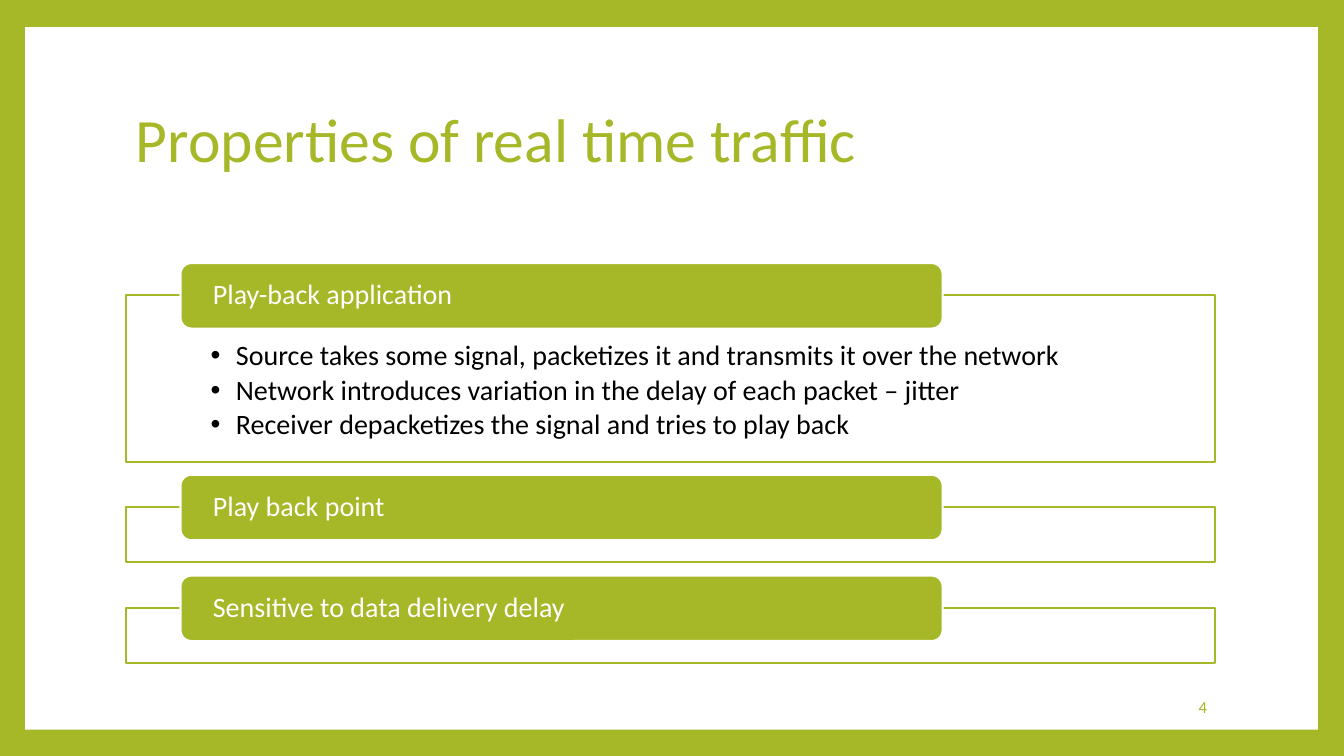
from lxml import etree
from pptx import Presentation, util as u
from pptx.dml.color import RGBColor
from pptx.enum import shapes, text
from pptx.oxml.ns import qn

COLORS = {"green": "A6B727", "white": "FFFFFF", "black": "000000"}
FONT = "Calibri"
WIDTH, HEIGHT = 13.33, 7.5
LEFT, CONTENT_W = 1.25, 10.8
TAB_H, TAB_RISE, PANEL_GAP = 0.65, 0.32, 0.45
SECTIONS = [
    ("Play-back application", 1.65, [
        "Source takes some signal, packetizes it and transmits it over the network",
        "Network introduces variation in the delay of each packet – jitter",
        "Receiver depacketizes the signal and tries to play back",
    ]),
    ("Play back point", 0.55, []),
    ("Sensitive to data delivery delay", 0.55, []),
]


def rgb(name):
    return RGBColor.from_string(COLORS[name])


def add_box(s, kind, box, fill, line=None):
    sp = s.shapes.add_shape(kind, *map(u.Inches, box))
    sp.shadow.inherit = False
    sp.fill.solid()
    sp.fill.fore_color.rgb = rgb(fill)
    if line:
        sp.line.color.rgb = rgb(line)
        sp.line.width = u.Pt(1.5)
    else:
        sp.line.fill.background()
    return sp


def add_bullet(p):
    pPr = p._p.get_or_add_pPr()
    pPr.set("marL", str(u.Inches(0.25)))
    pPr.set("indent", str(u.Inches(-0.25)))
    etree.SubElement(pPr, qn("a:buFont")).set("typeface", "Arial")
    etree.SubElement(pPr, qn("a:buChar")).set("char", "•")


def write(sp, lines, size=20, color="black", align=text.PP_ALIGN.LEFT,
          anchor=text.MSO_ANCHOR.MIDDLE, insets=(0.1, 0.05, 0.1, 0.05),
          spacing=0.9, after=0, bullets=False):
    tf = sp.text_frame
    tf.word_wrap = True
    tf.vertical_anchor = anchor
    tf.margin_left, tf.margin_top, tf.margin_right, tf.margin_bottom = map(u.Inches, insets)
    for i, line in enumerate(lines):
        p = tf.add_paragraph() if i else tf.paragraphs[0]
        p.alignment = align
        p.line_spacing = spacing
        p.space_after = u.Pt(after)
        if bullets:
            add_bullet(p)
        r = p.add_run()
        r.text = line
        r.font.name, r.font.size = FONT, u.Pt(size)
        r.font.color.rgb = rgb(color)


def add_text(s, box, line, **fmt):
    write(s.shapes.add_textbox(*map(u.Inches, box)), [line], **fmt)


def draw_frame(s):
    s.background.fill.solid()
    s.background.fill.fore_color.rgb = rgb("green")
    add_box(s, shapes.MSO_SHAPE.RECTANGLE, (0.25, 0.27, 12.82, 6.97), "white")


def draw_section(s, x, y, w, h, heading, points):
    """Outlined panel at the given box, with a heading tab across its top edge."""
    panel = add_box(s, shapes.MSO_SHAPE.RECTANGLE, (x, y, w, h), "white", "green")
    alpha = etree.SubElement(panel.fill._xPr.find(qn("a:solidFill"))[0], qn("a:alpha"))
    alpha.set("val", "90000")
    if points:
        write(panel, points, anchor=text.MSO_ANCHOR.TOP, after=3, bullets=True,
              insets=(0.84, 0.46, 0.84, 0.16))
    tab = add_box(s, shapes.MSO_SHAPE.ROUNDED_RECTANGLE,
                  (x + 0.05 * w, y - TAB_RISE, 0.7 * w, TAB_H), "green", "white")
    write(tab, [heading], color="white", insets=(0.29, 0, 0.29, 0))


def draw_sections(s, x, y, w):
    for heading, h, points in SECTIONS:
        draw_section(s, x, y, w, h, heading, points)
        y += h + PANEL_GAP


def main():
    prs = Presentation()
    prs.slide_width, prs.slide_height = u.Inches(WIDTH), u.Inches(HEIGHT)
    s = prs.slides.add_slide(prs.slide_layouts[6])
    draw_frame(s)
    add_text(s, (LEFT, 0.67, CONTENT_W, 1.48), "Properties of real time traffic",
             size=44, color="green")
    draw_sections(s, LEFT, 2.93, CONTENT_W)
    add_text(s, (10.2, 6.81, 1.87, 0.4), "4", size=12, color="green",
             align=text.PP_ALIGN.RIGHT, spacing=1.0, after=6)
    prs.save("out.pptx")


if __name__ == "__main__":
    main()
